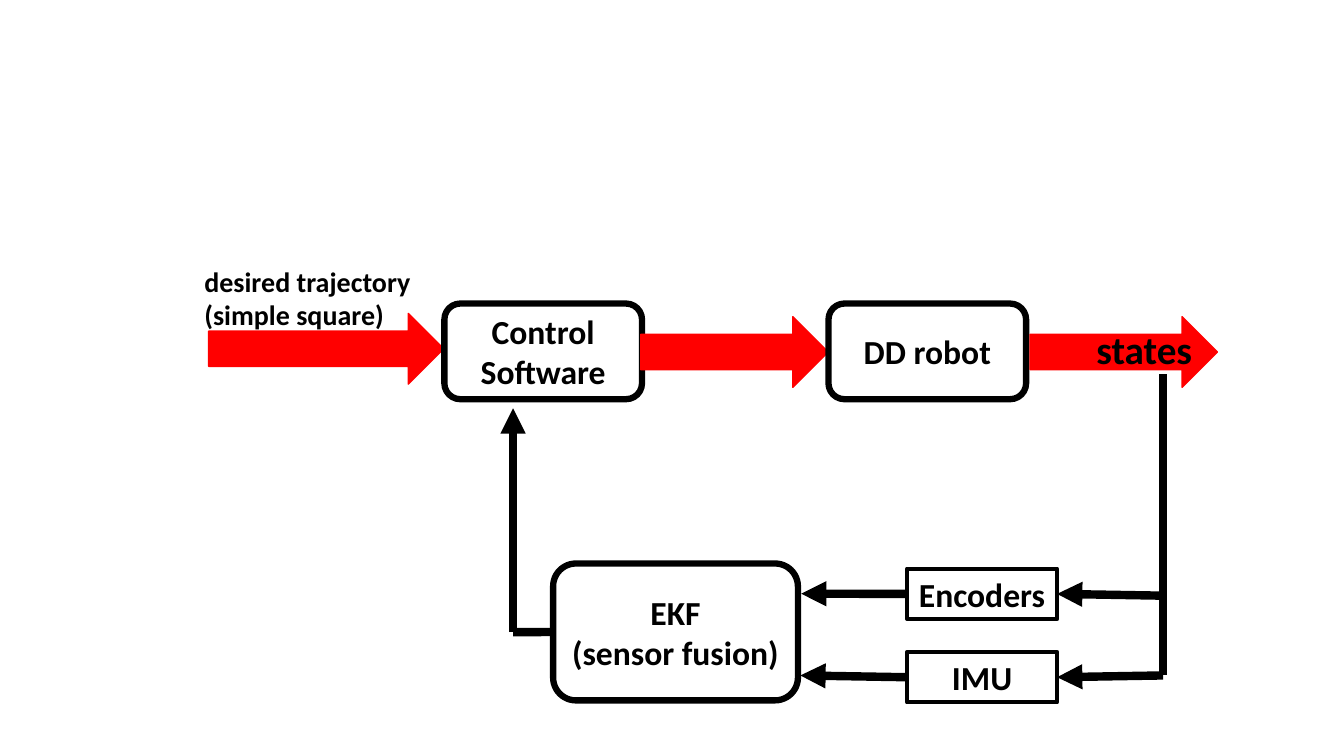
from lxml import etree
from pptx import Presentation
from pptx import util as u
from pptx.dml.color import RGBColor
from pptx.enum import shapes, text
from pptx.oxml.ns import qn

COLORS = {"ink": "000000", "paper": "FFFFFF", "signal": "FF0000"}
FONT = "Calibri"
BOX, SENSOR, ARROW = (shapes.MSO_SHAPE.ROUNDED_RECTANGLE,
                      shapes.MSO_SHAPE.RECTANGLE,
                      shapes.MSO_SHAPE.RIGHT_ARROW)
STYLES = {BOX: ("paper", "ink", 4.5),
          SENSOR: (None, "ink", 3),
          ARROW: ("signal", "signal", 1)}
TOP, LEFT, RIGHT = 0, 1, 3

BLOCKS = [
    ("trajectory", ARROW, (5.26, 7.9, 5.92, 1.78), ""),
    ("control", BOX, (11.2, 7.65, 4.98, 2.41), "Control Software"),
    ("command", ARROW, (16.15, 7.98, 4.72, 1.78), ""),
    ("robot", BOX, (20.88, 7.65, 4.98, 2.41), "DD robot"),
    ("output", ARROW, (25.96, 7.98, 4.72, 1.78), ""),
    ("encoders", SENSOR, (22.86, 14.33, 3.78, 1.27), "Encoders"),
    ("imu", SENSOR, (22.86, 16.43, 3.78, 1.27), "IMU"),
    ("ekf", BOX, (13.94, 14.2, 6.17, 3.45), "EKF\v(sensor fusion)"),
]
LABELS = [
    ((4.9, 6.53, 5.92, 1.96), "desired trajectory\v(simple square)", 20),
    ((27.38, 8.08, 3.84, 1.45), "states", 28),
]
BUS_X, FEEDBACK_X = 29.31, 12.93
LINES = [
    ((BUS_X, 15.01), ("encoders", RIGHT), True),
    ((BUS_X, 17.02), ("imu", RIGHT), True),
    ((BUS_X, 17.02), (BUS_X, 9.42), False),
    (("encoders", LEFT), (20.19, 14.96), True),
    (("imu", LEFT), (20.17, 17.02), True),
    ((FEEDBACK_X, 15.93), ("ekf", LEFT), False),
    ((FEEDBACK_X, 15.93), (FEEDBACK_X, 10.29), True),
]


def rgb(name):
    return RGBColor.from_string(COLORS[name])


def write(sp, words, size, align):
    tf = sp.text_frame
    tf.word_wrap = True
    tf.text = words
    p = tf.paragraphs[0]
    p.alignment = align
    for r in p.runs:
        r.font.name, r.font.size, r.font.bold = FONT, u.Pt(size), True
        r.font.color.rgb = rgb("ink")


def add_block(s, kind, at, words):
    fill, line, width = STYLES[kind]
    sp = s.shapes.add_shape(kind, *map(u.Cm, at))
    sp.shadow.inherit = False
    if fill:
        sp.fill.solid()
        sp.fill.fore_color.rgb = rgb(fill)
    else:
        sp.fill.background()
    sp.line.color.rgb = rgb(line)
    sp.line.width = u.Pt(width)
    if words:
        write(sp, words, 24, text.PP_ALIGN.CENTER)
        sp.text_frame.vertical_anchor = text.MSO_ANCHOR.MIDDLE
    return sp


def add_line(s, blocks, start, end, arrow):
    cx = s.shapes.add_connector(shapes.MSO_CONNECTOR.STRAIGHT, 0, 0, 0, 0)
    if start[0] in blocks:
        cx.begin_connect(blocks[start[0]], start[1])
    else:
        cx.begin_x, cx.begin_y = map(u.Cm, start)
    if end[0] in blocks:
        cx.end_connect(blocks[end[0]], end[1])
    else:
        cx.end_x, cx.end_y = map(u.Cm, end)
    cx.line.color.rgb = rgb("ink")
    cx.line.width = u.Pt(6)
    ln = cx.line._get_or_add_ln()
    if arrow:
        etree.SubElement(ln, qn("a:tailEnd"), type="triangle")
    etree.SubElement(cx._element.spPr, qn("a:effectLst"))


def main():
    prs = Presentation()
    prs.slide_width, prs.slide_height = u.Cm(33.87), u.Cm(19.05)
    s = prs.slides.add_slide(prs.slide_layouts[6])
    blocks = {name: add_block(s, kind, at, words)
              for name, kind, at, words in BLOCKS}
    for at, words, size in LABELS:
        sp = s.shapes.add_textbox(*map(u.Cm, at))
        write(sp, words, size, text.PP_ALIGN.LEFT)
        sp.text_frame.auto_size = text.MSO_AUTO_SIZE.SHAPE_TO_FIT_TEXT
    for start, end, arrow in LINES:
        add_line(s, blocks, start, end, arrow)
    prs.save("out.pptx")


if __name__ == "__main__":
    main()
